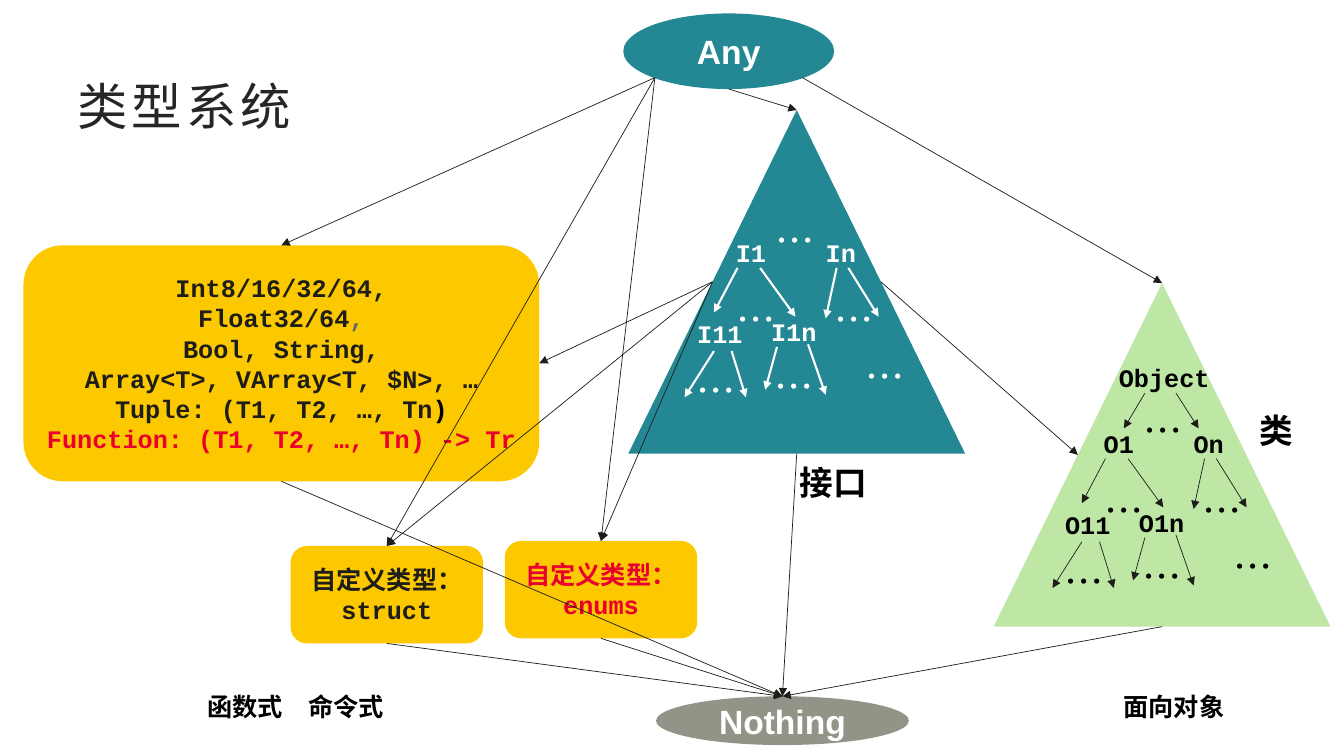
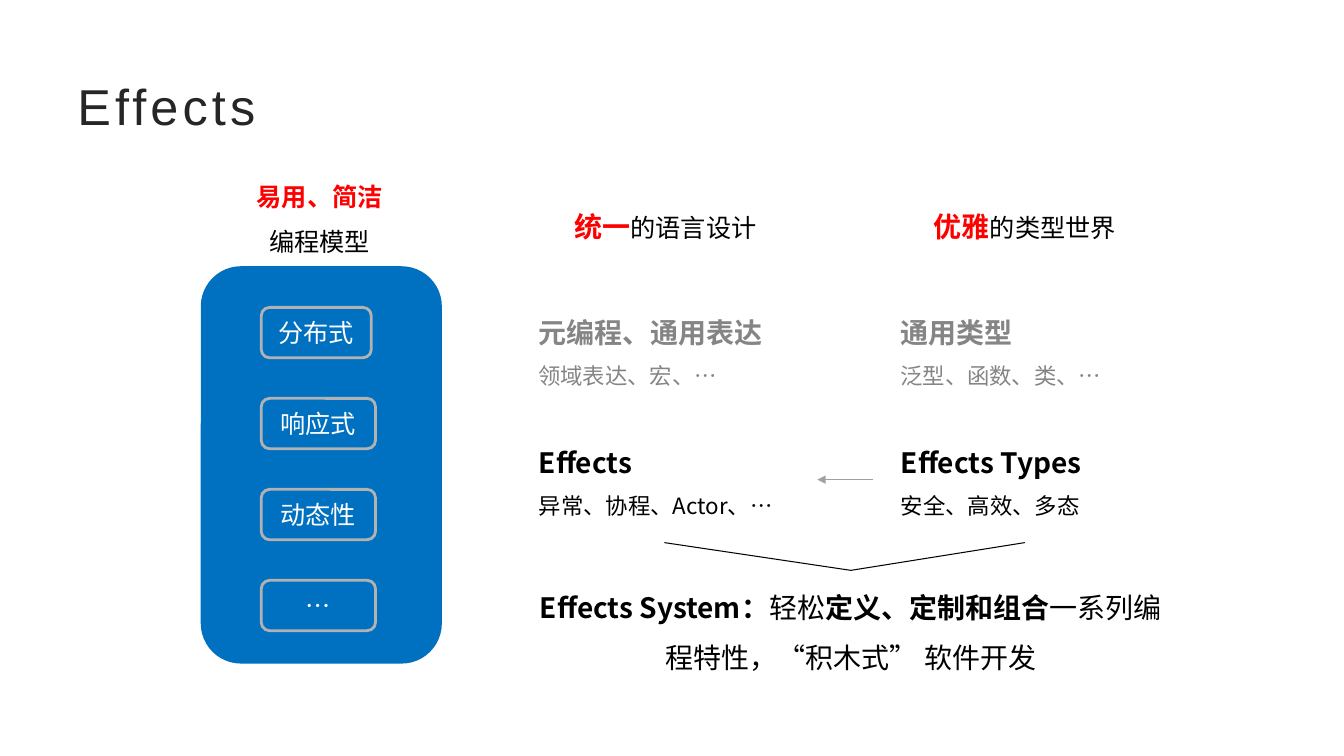
from dataclasses import dataclass, replace
from typing import NamedTuple, Optional

from lxml.etree import SubElement
from pptx import Presentation
from pptx.dml.color import RGBColor
from pptx.enum.shapes import MSO_CONNECTOR as Connector, MSO_SHAPE as Shape
from pptx.enum.text import MSO_ANCHOR as Anchor, PP_ALIGN as Align
from pptx.oxml.ns import qn
from pptx.util import Emu, Pt

# Grid: 160 columns by 90 rows of square cells
COLUMNS, ROWS, CELL = 160, 90, 76200

# Colours
INK = RGBColor(0x1D, 0x1D, 0x1A)
BLACK = RGBColor(0, 0, 0)
WHITE = RGBColor(0xFF, 0xFF, 0xFF)
TITLE_GREY = RGBColor(0x26, 0x26, 0x26)
COMMA_GREY = RGBColor(0x66, 0x66, 0x66)
MUTED = RGBColor(0x85, 0x85, 0x85)
ARROW_GREY = RGBColor(0xA0, 0xA0, 0xA0)
CHIP_GREY = RGBColor(0xB2, 0xB2, 0xB2)
STONE = RGBColor(0x93, 0x93, 0x87)
TEAL = RGBColor(0x24, 0x88, 0x94)
YELLOW = RGBColor(0xFC, 0xC8, 0x00)
GREEN = RGBColor(0xBE, 0xE7, 0xA6)
BLUE = RGBColor(0x00, 0x70, 0xC0)
CRIMSON = RGBColor(0xE9, 0x00, 0x2F)
RED = RGBColor(0xFF, 0x00, 0x00)

SANS, MONO, CJK = "Arial", "Courier New", "Noto Sans CJK SC"


class Point(NamedTuple):
    x: float
    y: float


class Box(NamedTuple):
    left: float
    top: float
    width: float
    height: float

    def site(self, across: float, down: float) -> Point:
        return Point(self.left + across * self.width, self.top + down * self.height)


@dataclass(frozen=True)
class Style:
    size: float
    font: str = CJK
    color: RGBColor = BLACK
    bold: bool = False


@dataclass(frozen=True)
class TextLayout:
    align: Align = Align.CENTER
    anchor: Anchor = Anchor.TOP
    spacing: Optional[float] = None
    indent: float = 0
    margins: bool = True
    wrap: bool = True


class Span(NamedTuple):
    text: str
    style: Style


class Arrow(NamedTuple):
    start: Point
    end: Point


CENTERED = TextLayout(anchor=Anchor.MIDDLE)
TIGHT = TextLayout(Align.LEFT, margins=False)
TIGHT_CENTER = TextLayout(margins=False)
CODE = Style(18, MONO, INK, True)
HEADING = Style(20, bold=True)


def cells(*values: float) -> list[Emu]:
    return [Emu(round(value * CELL)) for value in values]


def format_run(run, style: Style) -> None:
    font = run.font
    font.size, font.bold = Pt(style.size), style.bold
    font.color.rgb = style.color
    font.name = style.font
    SubElement(run._r.get_or_add_rPr(), qn("a:ea"), typeface=CJK)


def write(shape, lines: list[list[Span]], layout: TextLayout) -> None:
    frame = shape.text_frame
    frame.word_wrap = layout.wrap
    frame.vertical_anchor = layout.anchor
    if not layout.margins:
        frame.margin_left = frame.margin_right = frame.margin_top = frame.margin_bottom = 0
    for index, spans in enumerate(lines):
        paragraph = frame.add_paragraph() if index else frame.paragraphs[0]
        paragraph.alignment = layout.align
        if layout.spacing:
            paragraph.line_spacing = layout.spacing
        if layout.indent:
            paragraph._p.get_or_add_pPr().set("marL", str(cells(layout.indent)[0]))
        for span in spans:
            run = paragraph.add_run()
            run.text = span.text
            format_run(run, span.style)


def add_text(slide, box: Box, lines: list[list[Span]], layout: TextLayout) -> None:
    write(slide.shapes.add_textbox(*cells(*box)), lines, layout)


def add_block(slide, kind: Shape, box: Box, fill: Optional[RGBColor] = None,
              outline: Optional[RGBColor] = None, lines: Optional[list[list[Span]]] = None,
              layout: TextLayout = CENTERED) -> None:
    shape = slide.shapes.add_shape(kind, *cells(*box))
    shape.shadow.inherit = False
    if fill is None:
        shape.fill.background()
    else:
        shape.fill.solid()
        shape.fill.fore_color.rgb = fill
    if outline is None:
        shape.line.fill.background()
    else:
        shape.line.color.rgb = outline
        shape.line.width = Pt(2)
    if lines:
        write(shape, lines, layout)


def add_line(slide, start: Point, end: Point, color: RGBColor = INK,
             width: float = 0.5, arrow: bool = True) -> None:
    connector = slide.shapes.add_connector(Connector.STRAIGHT, *cells(*start, *end))
    connector.line.color.rgb = color
    connector.line.width = Pt(width)
    if arrow:
        SubElement(connector.line._get_or_add_ln(), qn("a:tailEnd"), type="triangle")
    SubElement(connector._element.spPr, qn("a:effectLst"))


def add_titled_slide(presentation, title: str):
    slide = presentation.slides.add_slide(presentation.slide_layouts[5])
    shape = slide.shapes.title
    shape.left, shape.top, shape.width, shape.height = cells(8, 8, 144, 9.2)
    shape.text_frame.text = title
    shape.text_frame.vertical_anchor = Anchor.MIDDLE
    paragraph = shape.text_frame.paragraphs[0]
    paragraph.alignment = Align.LEFT
    run = paragraph.runs[0]
    format_run(run, Style(36, SANS, TITLE_GREY))
    run._r.get_or_add_rPr().set("spc", "300")
    return slide


# Subtype tree, drawn once in each triangle
TREE_NODES = {"1": Point(87.6, 28.3), "n": Point(98.3, 28.3),
              "11": Point(83, 37.9), "1n": Point(91.8, 37.7)}
TREE_DOTS = [Point(91.8, 25.7), Point(87.1, 35.2), Point(98.8, 35.2),
             Point(102.5, 41.9), Point(82.4, 43.6), Point(91.6, 43.1)]
TREE_ARROWS = [
    Arrow(Point(87.8, 31.9), Point(85, 37.2)), Arrow(Point(90.5, 31.9), Point(94.7, 37.7)),
    Arrow(Point(99.6, 31.9), Point(98.3, 37.9)), Arrow(Point(101, 31.9), Point(104.6, 37.7)),
    Arrow(Point(85, 41.8), Point(81.5, 47.3)), Arrow(Point(87.1, 41.8), Point(88.8, 47.3)),
    Arrow(Point(92.5, 41.3), Point(91.1, 46.4)), Arrow(Point(96.2, 41), Point(98.3, 47)),
]


def add_tree(slide, letter: str, shift: Point, color: RGBColor,
             line_color: RGBColor, line_width: float) -> None:
    def moved(point: Point) -> Point:
        return Point(point.x + shift.x, point.y + shift.y)

    for suffix, point in TREE_NODES.items():
        label = Span(letter + suffix, replace(CODE, color=color))
        add_text(slide, Box(*moved(point), 5.8, 3.6), [[label]], TIGHT)
    for point in TREE_DOTS:
        dots = Span("…", Style(28, color=color))
        add_text(slide, Box(*moved(point), 5.8, 5.6), [[dots]], TIGHT_CENTER)
    for arrow in TREE_ARROWS:
        add_line(slide, moved(arrow.start), moved(arrow.end), line_color, line_width)


def build_type_system(presentation) -> None:
    slide = add_titled_slide(presentation, "类型系统")
    top_type = Box(74.2, 1.6, 25.1, 9)
    bottom_type = Box(78.1, 82.9, 30.1, 5.8)
    builtin = Box(2.8, 29.2, 61.4, 28.1)
    struct = Box(34.6, 65, 22.9, 11.6)
    enums = Box(60.1, 64.4, 22.9, 11.6)
    interfaces = Box(74.8, 13.1, 40.1, 40.9)
    classes = Box(118.3, 33.7, 40.1, 40.9)
    red_code = replace(CODE, color=CRIMSON)

    # Types
    caption = Style(24, SANS, WHITE, True)
    add_block(slide, Shape.OVAL, top_type, TEAL, lines=[[Span("Any", caption)]])
    add_block(slide, Shape.OVAL, bottom_type, STONE, lines=[[Span("Nothing", caption)]])
    add_block(slide, Shape.ROUNDED_RECTANGLE, builtin, YELLOW, lines=[
        [Span("Int8/16/32/64,", CODE)],
        [Span("Float32/64", CODE), Span(",", replace(CODE, color=COMMA_GREY))],
        [Span("Bool, String,", CODE)],
        [Span("Array<T>, VArray<T, $N>, …", CODE)],
        [Span("Tuple: (T1, T2, …, Tn", CODE), Span(")", replace(CODE, color=BLACK))],
        [Span("Function: (T1, T2, …, Tn) -> Tr", red_code)],
    ])
    for box, text, style in ((struct, "自定义类型：struct", CODE),
                             (enums, "自定义类型：enums", red_code)):
        add_block(slide, Shape.ROUNDED_RECTANGLE, box, YELLOW, lines=[[Span(text, style)]])
    add_block(slide, Shape.ISOSCELES_TRIANGLE, interfaces, TEAL)
    add_block(slide, Shape.ISOSCELES_TRIANGLE, classes, GREEN)

    # Trees
    add_tree(slide, "I", Point(0, 0), WHITE, WHITE, 1.5)
    add_tree(slide, "O", Point(43.8, 22.7), BLACK, INK, 0.5)
    root = Span("Object", replace(CODE, color=BLACK))
    add_text(slide, Box(133.2, 43.1, 13.6, 3.6), [[root]], TIGHT)
    add_line(slide, Point(136.3, 46.8), Point(133.8, 51))
    add_line(slide, Point(140, 46.8), Point(142.7, 51))

    # Subtype arrows between the types
    lower_left, lower_right = top_type.site(0.15, 0.85), top_type.site(0.85, 0.85)
    left_side, right_side = interfaces.site(0.25, 0.5), interfaces.site(0.75, 0.5)
    for box in (builtin, struct, enums):
        add_line(slide, lower_left, box.site(0.5, 0))
    add_line(slide, top_type.site(0.5, 1), interfaces.site(0.5, 0))
    add_line(slide, lower_right, classes.site(0.5, 0))
    add_line(slide, left_side, builtin.site(1, 0.5))
    for box in (struct, enums):
        add_line(slide, left_side, box.site(0.5, 0))
    add_line(slide, right_side, classes.site(0.25, 0.5))
    for box in (builtin, struct, enums, interfaces, classes):
        add_line(slide, box.site(0.5, 1), bottom_type.site(0.5, 0))

    # Labels
    for text, left, top in (("接口", 95.2, 55), ("类", 150, 48.8)):
        add_text(slide, Box(left, top, 9.1, 4.9), [[Span(text, Style(24, bold=True))]], TIGHT)
    paradigm = Style(18, SANS, BLACK, True)
    add_text(slide, Box(23.5, 81.7, 48.8, 4.8), [[Span("函数式\t命令式", paradigm)]],
             TextLayout(Align.LEFT))
    add_text(slide, Box(131.4, 81.7, 16.7, 4.8), [[Span("面向对象", paradigm)]], TextLayout())


def build_effects(presentation) -> None:
    slide = add_titled_slide(presentation, "Effects")
    body = Style(18)
    red_heading = replace(HEADING, color=RED)

    # Column headings
    add_text(slide, Box(29.3, 19.2, 17.5, 11.5),
             [[Span("易用、简洁", replace(body, color=RED, bold=True))], [Span("编程模型", body)]],
             TextLayout(spacing=1.5, wrap=False))
    for left, strong, rest in ((67.2, "统一", "的语言设计"), (110, "优雅", "的类型世界")):
        add_text(slide, Box(left, 24.4, 24.2, 5.3),
                 [[Span(strong, red_heading), Span(rest, body)]],
                 TextLayout(Align.LEFT, wrap=False))

    # Programming models
    add_block(slide, Shape.ROUNDED_RECTANGLE, Box(23.9, 31.7, 28.7, 47.3), BLUE)
    models = (("分布式", 13.1), ("响应式", 13.6), ("动态性", 13.6), ("…", 13.6))
    for index, (text, width) in enumerate(models):
        add_block(slide, Shape.ROUNDED_RECTANGLE, Box(31.1, 36.6 + 10.83 * index, width, 6),
                  outline=CHIP_GREY, lines=[[Span(text, replace(body, color=WHITE))]])

    # Feature cards, two columns by two rows
    left_column, right_column = 60.8, 103.9
    upper, lower = (34.3, 13.8, MUTED), (49.7, 14.9, BLACK)
    cards = (
        (left_column, upper, "元编程、通用表达", "领域表达、宏、…"),
        (right_column, upper, "通用类型", "泛型、函数、类、…"),
        (left_column, lower, "Effects", "异常、协程、Actor、…"),
        (right_column, lower, "Effects Types", "安全、高效、多态"),
    )
    for left, (top, height, color), heading, detail in cards:
        add_block(slide, Shape.ROUNDED_RECTANGLE, Box(left, top, 36.4, height), outline=WHITE,
                  lines=[[Span(heading, replace(HEADING, color=color))],
                         [Span(detail, Style(16, color=color))]],
                  layout=TextLayout(Align.LEFT, spacing=1.5, indent=1.44))
    add_line(slide, Point(right_column, 57.1), Point(97.3, 57.1), ARROW_GREY, 0.75)

    # Conclusion
    for x in (79.1, 122):
        add_line(slide, Point(x, 64.6), Point(101.3, 67.9), BLACK, 0.75, arrow=False)
    plain = Style(20)
    add_text(slide, Box(61.9, 67.9, 78.8, 12.7),
             [[Span("Effects System：", HEADING), Span("轻松", plain),
               Span("定义、定制和组合", HEADING),
               Span("一系列编程特性，“积木式” 软件开发", plain)]],
             TextLayout(anchor=Anchor.MIDDLE, spacing=1.5))


def main() -> None:
    presentation = Presentation()
    presentation.slide_width, presentation.slide_height = cells(COLUMNS, ROWS)
    build_type_system(presentation)
    build_effects(presentation)
    presentation.save("out.pptx")


if __name__ == "__main__":
    main()
